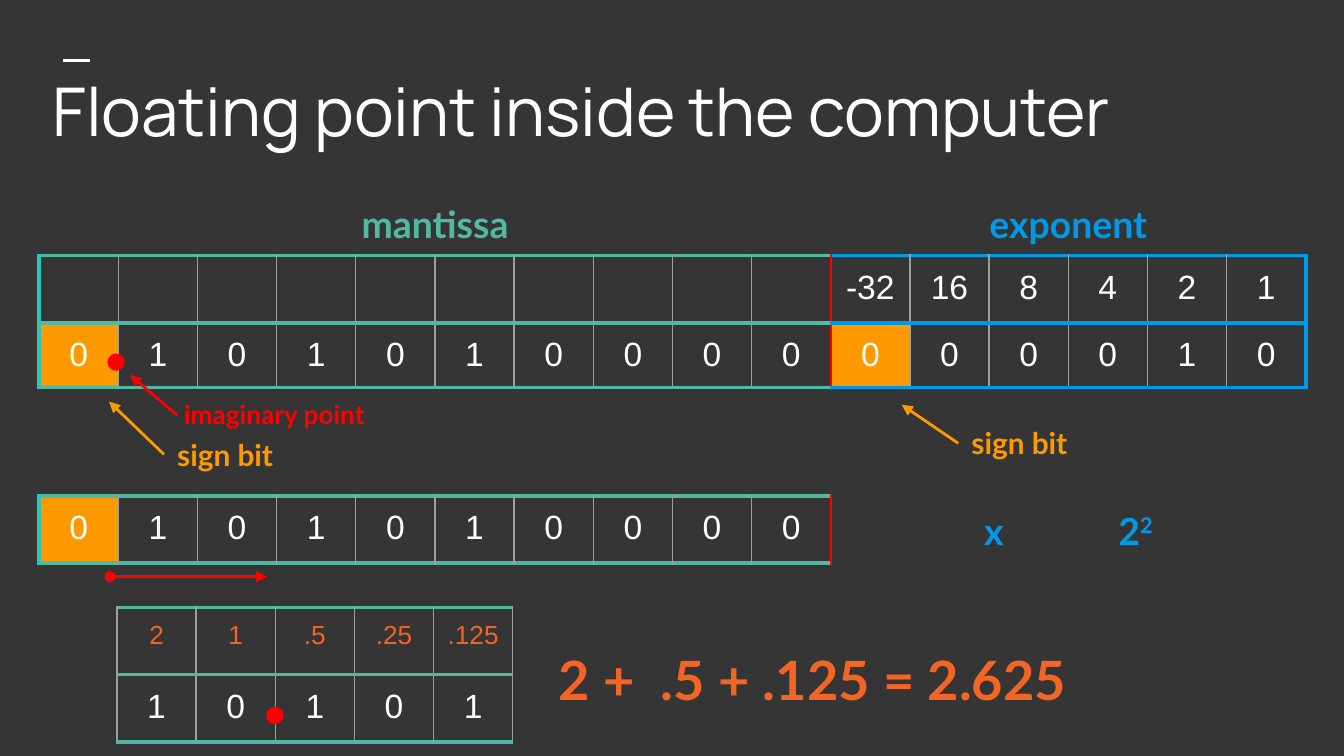
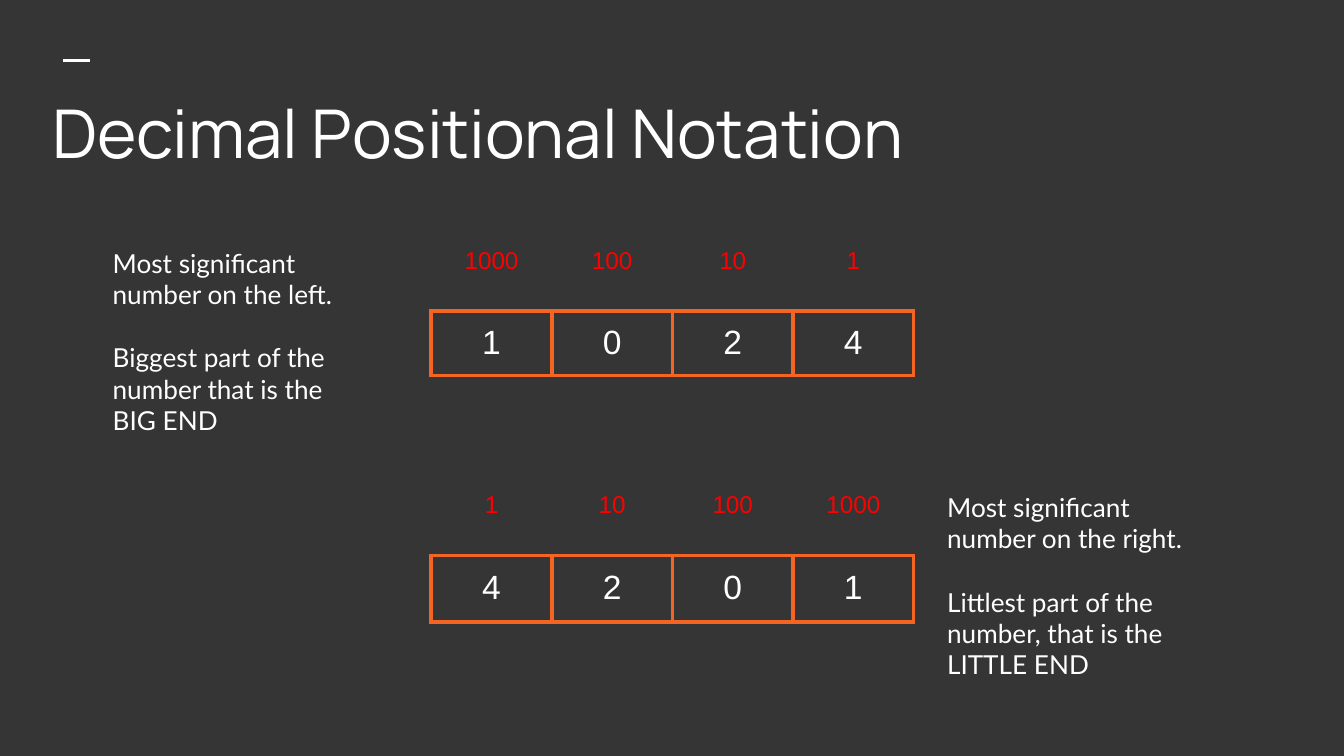
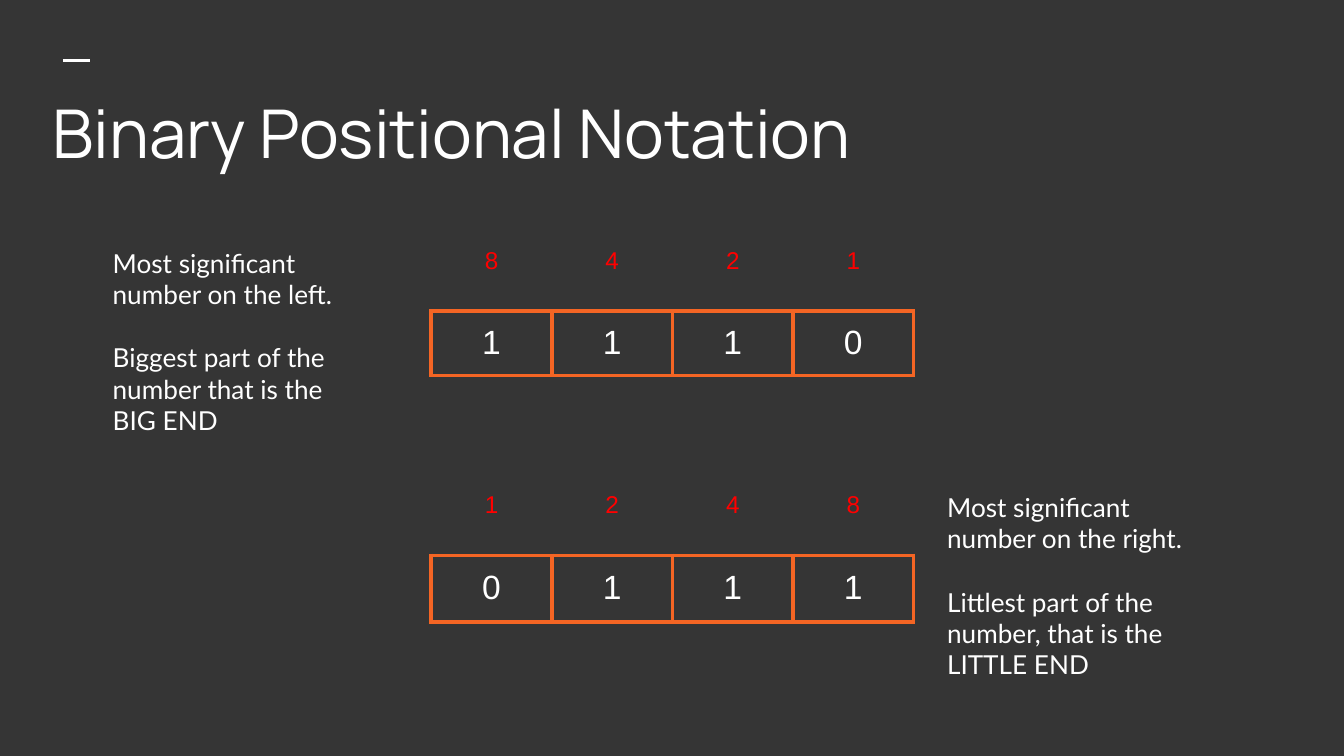
from lxml.etree import SubElement
from pptx import Presentation
from pptx.dml.color import RGBColor
from pptx.enum.shapes import MSO_CONNECTOR as Connector, MSO_SHAPE as Shape
from pptx.enum.text import MSO_ANCHOR as Anchor, MSO_AUTO_SIZE as AutoSize, PP_ALIGN as Align
from pptx.oxml.ns import qn
from pptx.util import Cm, Pt

CHARCOAL = RGBColor(0x35, 0x35, 0x35)
WHITE = RGBColor(0xFF, 0xFF, 0xFF)
GREY = RGBColor(0x9E, 0x9E, 0x9E)
TEAL = RGBColor(0x51, 0xB9, 0xA3)
CYAN = RGBColor(0x27, 0xC7, 0xBD)
BLUE = RGBColor(0x00, 0x99, 0xE8)
AMBER = RGBColor(0xFF, 0x99, 0x00)
ORANGE = RGBColor(0xF4, 0x65, 0x24)
RED = RGBColor(0xFF, 0x00, 0x00)

TITLE_FONT, BODY_FONT, DIGIT_FONT = "Manrope", "Lato", "Arial"
INSET = Cm(0.25)
MARGIN = 0.74
CONTENT_WIDTH = 23.94
MANTISSA_BITS, EXPONENT_BITS = 10, 6
BIT_WIDTH = CONTENT_WIDTH / (MANTISSA_BITS + EXPONENT_BITS)
EXPONENT_LEFT = MARGIN + MANTISSA_BITS * BIT_WIDTH
DIGIT = (18, WHITE)
THIN_GREY = (GREY, 0.75)
RED_DIVIDER = (RED, 1.5)


def write(para, text, *, size, colour, font=BODY_FONT, bold=False, align=Align.LEFT, raised=False):
    para.alignment = align
    span = para.add_run()
    span.text = text
    span.font.name = font
    span.font.size = Pt(size)
    span.font.bold = bold
    span.font.color.rgb = colour
    if raised:
        span.font._element.set("baseline", "30000")


def set_insets(holder):
    holder.margin_left = holder.margin_right = INSET
    holder.margin_top = holder.margin_bottom = INSET


def add_page(deck, title, top):
    page = deck.slides.add_slide(deck.slide_layouts.get_by_name("Title Only"))
    add_line(page, (1.19, 1.14), (1.7, 1.14), WHITE)
    box = page.shapes.title
    box.left, box.top, box.width, box.height = Cm(MARGIN), Cm(top), Cm(CONTENT_WIDTH), Cm(1.98)
    frame = box.text_frame
    frame.auto_size = AutoSize.NONE
    frame.vertical_anchor = Anchor.MIDDLE
    set_insets(frame)
    para = frame.paragraphs[0]
    para.space_after = Pt(10)
    write(para, title, size=36, colour=WHITE, font=TITLE_FONT)
    return page


def add_text(page, left, top, width, height, *texts, gap=0, **style):
    box = page.shapes.add_textbox(Cm(left), Cm(top), Cm(width), Cm(height))
    frame = box.text_frame
    frame.word_wrap = True
    frame.auto_size = AutoSize.SHAPE_TO_FIT_TEXT
    set_insets(frame)
    for index, text in enumerate(texts):
        para = frame.add_paragraph() if index else frame.paragraphs[0]
        para.space_before = Pt(gap if index else 0)
        write(para, text, **style)
    return frame.paragraphs[0]


def add_line(page, start, end, colour, head=None, tail=None):
    line = page.shapes.add_connector(Connector.STRAIGHT, *map(Cm, start + end))
    line.line.color.rgb = colour
    line.line.width = Pt(1.5)
    properties = line._element.spPr
    stroke = properties.find(qn("a:ln"))
    for tag, kind in (("a:headEnd", head), ("a:tailEnd", tail)):
        if kind:
            SubElement(stroke, qn(tag), type=kind)
    SubElement(properties, qn("a:effectLst"))


def add_point(page, left, top):
    point = page.shapes.add_shape(Shape.OVAL, Cm(left), Cm(top), Cm(0.33), Cm(0.33))
    point.shadow.inherit = False
    point.fill.solid()
    point.fill.fore_color.rgb = RED
    point.line.fill.background()


def set_borders(cell, borders):
    properties = cell._tc.get_or_add_tcPr()
    for side, border in zip("LRTB", borders):
        if border:
            colour, width = border
            stroke = SubElement(properties, qn(f"a:ln{side}"), w=str(Pt(width)))
            fill = SubElement(stroke, qn("a:solidFill"))
            SubElement(fill, qn("a:srgbClr"), val=str(colour))
        else:
            stroke = SubElement(properties, qn(f"a:ln{side}"), w="0")
            SubElement(stroke, qn("a:noFill"))


def add_grid(page, left, top, column_width, heights, rows, styles, borders, sign_bits=()):
    columns = len(rows[0])
    frame = page.shapes.add_table(len(rows), columns, Cm(left), Cm(top),
                                  Cm(column_width * columns), Cm(sum(heights)))
    table = frame.table
    table.first_row = table.horz_banding = False
    for column in table.columns:
        column.width = Cm(column_width)
    for row, (texts, height, (size, colour)) in enumerate(zip(rows, heights, styles)):
        table.rows[row].height = Cm(height)
        for column, text in enumerate(texts):
            cell = table.cell(row, column)
            set_insets(cell)
            set_borders(cell, borders(row, column))
            if (row, column) in sign_bits:
                cell.fill.solid()
                cell.fill.fore_color.rgb = AMBER
            else:
                cell.fill.background()
            if text:
                write(cell.text_frame.paragraphs[0], text, size=size, colour=colour,
                      font=DIGIT_FONT, align=Align.CENTER)


def register_borders(row, column):
    last = MANTISSA_BITS + EXPONENT_BITS - 1
    left = {0: (CYAN, 2.25), MANTISSA_BITS: RED_DIVIDER}.get(column, THIN_GREY)
    right = {MANTISSA_BITS - 1: RED_DIVIDER, last: (BLUE, 2.25)}.get(column, THIN_GREY)
    edge = (TEAL if column < MANTISSA_BITS else BLUE, 2.25)
    return left, right, edge, edge


def value_borders(row, column):
    return THIN_GREY, THIN_GREY, (TEAL, 2.25), (TEAL, 2.25)


def place_borders(row, column):
    edge = (ORANGE, 2.25)
    return (edge,) * 4 if row else (None, None, None, edge)


def add_floating_point_page(deck):
    page = add_page(deck, "Floating point inside the computer", 1.09)
    mantissa = list("0101010000")
    weights = [""] * MANTISSA_BITS + ["-32", "16", "8", "4", "2", "1"]
    add_grid(page, MARGIN, 4.83, BIT_WIDTH, (1.22, 1.22), [weights, mantissa + list("000010")],
             (DIGIT, DIGIT), register_borders, {(1, 0), (1, MANTISSA_BITS)})
    add_point(page, 2.03, 6.68)

    heading = dict(size=20, bold=True, align=Align.CENTER)
    mantissa_width = MANTISSA_BITS * BIT_WIDTH
    exponent_width = EXPONENT_BITS * BIT_WIDTH
    add_text(page, MARGIN, 3.56, mantissa_width, 1.37, "mantissa", colour=TEAL, **heading)
    add_text(page, EXPONENT_LEFT, 3.56, exponent_width, 1.37, "exponent", colour=BLUE, **heading)

    callouts = (
        ("sign bit", 16, AMBER, (3.1, 8), 3.12, (3.1, 8.59), (2.06, 7.59)),
        ("sign bit", 16, AMBER, (18.11, 7.77), 3.12, (18.11, 8.38), (17.04, 7.65)),
        ("imaginary point", 14, RED, (3.23, 7.29), 4.19, (3.35, 7.85), (2.46, 7.09)),
    )
    for text, size, colour, corner, width, start, end in callouts:
        add_line(page, start, end, colour, tail="triangle")
        add_text(page, *corner, width, 1.19, text, size=size, colour=colour, bold=True)

    power = add_text(page, EXPONENT_LEFT, 9.35, exponent_width, 1.37, "x\t2", colour=BLUE, **heading)
    power._p.get_or_add_pPr().set("defTabSz", str(Cm(2.54)))
    write(power, "2", colour=BLUE, raised=True, **heading)
    add_line(page, (2.08, 10.9), (5.05, 10.9), RED, head="oval", tail="triangle")
    add_grid(page, MARGIN, 9.37, BIT_WIDTH, (1.27,), [mantissa], (DIGIT,),
             register_borders, {(0, 0)})
    add_grid(page, 2.21, 11.48, BIT_WIDTH, (1.27, 1.27),
             [["2", "1", ".5", ".25", ".125"], list("10101")],
             ((14, ORANGE), DIGIT), value_borders)
    add_point(page, 5.03, 13.36)
    add_text(page, 10.31, 11.96, 10.41, 1.75, "2 +  .5 + .125 = 2.625",
             size=29, colour=ORANGE, bold=True)


def add_notation_page(deck, title, places, digits):
    page = add_page(deck, title, 1.5)
    big_end = ("Most significant number on the left.",
               "Biggest part of the number that is the BIG END")
    little_end = ("Most significant number on the right.",
                  "Littlest part of the number, that is the LITTLE END")
    orders = ((4.42, 1, 1.88, big_end), (9.04, -1, 17.65, little_end))
    for top, step, note_left, note in orders:
        add_grid(page, 8.15, top, 2.28, (1.46, 1.22), [places[::step], digits[::step]],
                 ((13, RED), DIGIT), place_borders)
        add_text(page, note_left, top, 5.23, 4.11, *note, gap=17, size=14, colour=WHITE)


def main():
    deck = Presentation()
    deck.slide_width, deck.slide_height = Cm(25.4), Cm(14.29)
    background = deck.slide_master.background.fill
    background.solid()
    background.fore_color.rgb = CHARCOAL
    add_floating_point_page(deck)
    add_notation_page(deck, "Decimal Positional Notation", ["1000", "100", "10", "1"], "1024")
    add_notation_page(deck, "Binary Positional Notation", ["8", "4", "2", "1"], "1110")
    deck.save("out.pptx")


if __name__ == "__main__":
    main()
